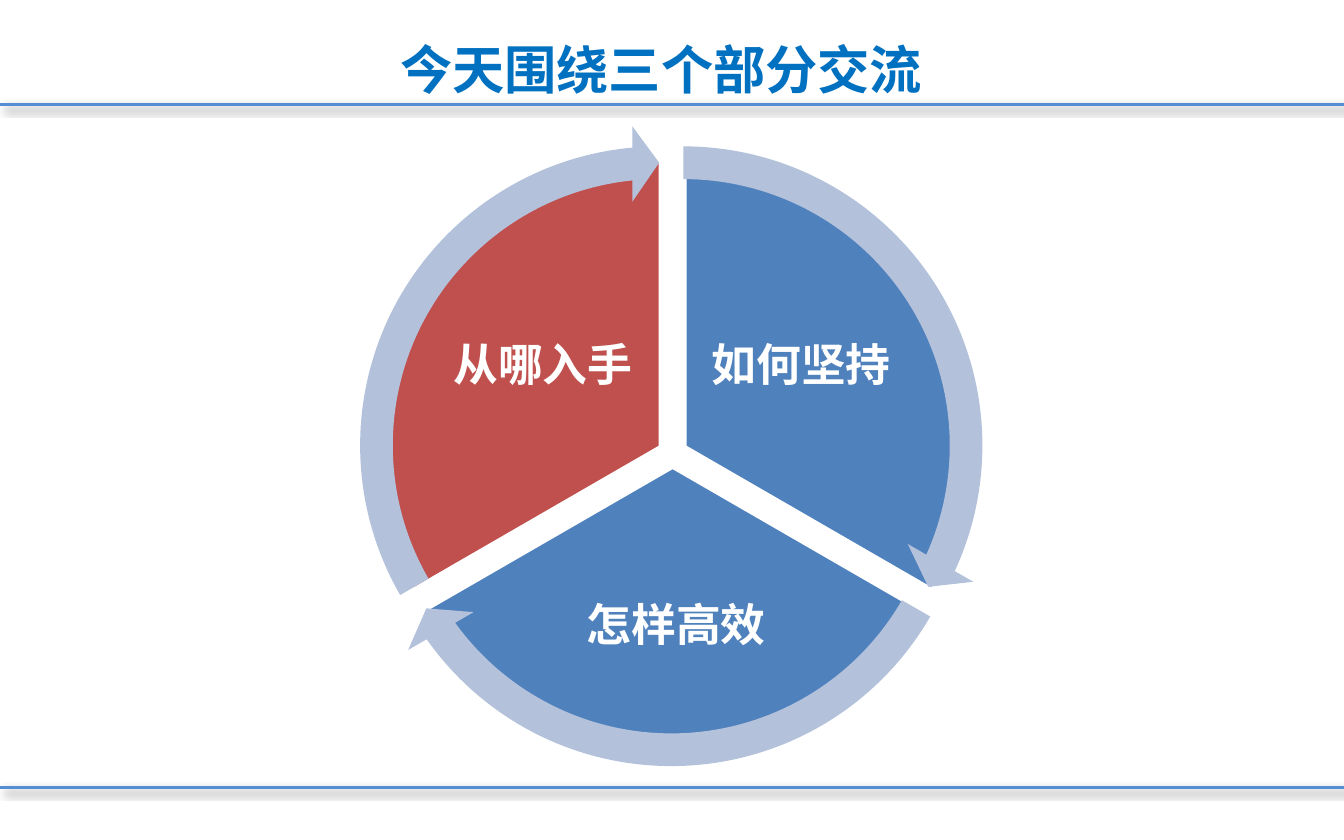
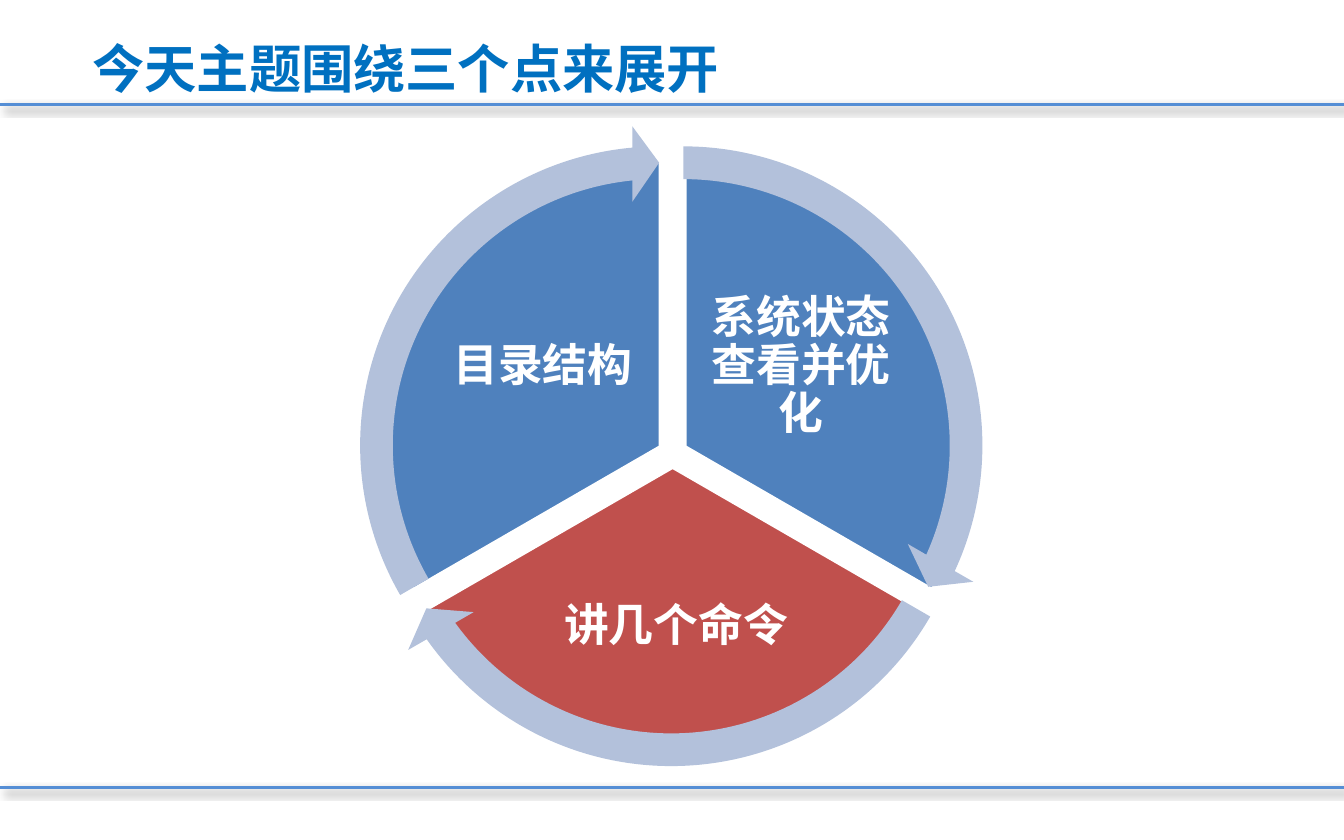
from lxml import etree
from pptx import Presentation
from pptx.dml.color import RGBColor
from pptx.enum.shapes import MSO_CONNECTOR, MSO_SHAPE
from pptx.enum.text import MSO_ANCHOR, MSO_AUTO_SIZE, PP_ALIGN
from pptx.oxml import parse_xml
from pptx.oxml.ns import nsdecls, qn
from pptx.util import Inches, Pt

PIE = MSO_SHAPE.PIE
CIRCULAR_ARROW = MSO_SHAPE.CIRCULAR_ARROW
STRAIGHT = MSO_CONNECTOR.STRAIGHT
LEFT, CENTER = PP_ALIGN.LEFT, PP_ALIGN.CENTER
TOP, MIDDLE = MSO_ANCHOR.TOP, MSO_ANCHOR.MIDDLE
FIT_SHAPE, NO_FIT = MSO_AUTO_SIZE.SHAPE_TO_FIT_TEXT, MSO_AUTO_SIZE.NONE

FONT = "Noto Sans CJK SC"
COLORS = {
    "title": "0070C0",
    "rule": "558ED5",
    "sector": "4F81BD",
    "highlight": "C0504D",
    "arrow": "B3C1DB",
    "white": "FFFFFF",
}

# The slide is a grid of 100 columns with square cells
COLUMNS = 100
RULE_ROWS = (7.8, 58.6)

# Cycle: three sectors clockwise from the top, each shifted slightly left
SECTOR_SIZE, ARROW_SIZE = 42.5, 47.7
SECTOR_LEFT, ARROW_LEFT, SHIFT = 29.7, 27, 0.9
SECTOR_TOPS, ARROW_TOPS = (12, 13.5, 12), (9.3, 10.9, 9.3)
ANGLES = (162, 18, 90, 162)  # sector borders, in units of 100000/60000 degree
ARROW_BAND, ARROW_TIP, ARROW_HEAD = 0.051, 3.275, 0.059
LABEL_BOXES = ((52, 21, 15.2, 12.6), (38.9, 41.1, 22.8, 11.1), (32.8, 21, 15.2, 12.6))


def rgb(name):
    return RGBColor.from_string(COLORS[name])


def write_text(shape, text, *, size, color, align=LEFT, anchor=TOP, wrap=True,
               fit=NO_FIT, inset=None, line_spacing=None, space_after=None):
    frame = shape.text_frame
    frame.word_wrap = wrap
    frame.auto_size = fit
    frame.vertical_anchor = anchor
    if inset is not None:
        frame.margin_left = frame.margin_right = Inches(inset)
        frame.margin_top = frame.margin_bottom = Inches(inset)
    paragraph = frame.paragraphs[0]
    paragraph.alignment = align
    if line_spacing:
        paragraph.line_spacing = line_spacing
    if space_after:
        paragraph.space_after = Pt(space_after)
    run = paragraph.add_run()
    run.text = text
    run.font.size = Pt(size)
    run.font.bold = True
    run.font.name = FONT
    run.font.color.rgb = rgb(color)
    # East Asian typeface
    etree.SubElement(run.font._element, qn("a:ea"), typeface=FONT)


class Deck:
    def __init__(self):
        self.presentation = Presentation()
        self.presentation.slide_width = Inches(10)
        self.presentation.slide_height = Inches(6.25)
        self.cell = self.presentation.slide_width / COLUMNS
        self.slide = None

    def grid(self, *lengths):
        return [round(length * self.cell) for length in lengths]

    def new_slide(self):
        self.slide = self.presentation.slides.add_slide(self.presentation.slide_layouts[6])
        for row in RULE_ROWS:
            self.rule(row)

    def rule(self, row):
        line = self.slide.shapes.add_connector(STRAIGHT, *self.grid(0, row, COLUMNS, row))
        line.line.color.rgb = rgb("rule")
        line.line.width = Pt(1.5)
        line._element.spPr.append(parse_xml(
            f'<a:effectLst {nsdecls("a")}>'
            f'<a:outerShdw blurRad="{Pt(4)}" dist="{Pt(3)}" dir="2700000" algn="tl" rotWithShape="0">'
            '<a:srgbClr val="000000"><a:alpha val="40000"/></a:srgbClr>'
            '</a:outerShdw></a:effectLst>'))

    def text(self, text, box, **style):
        write_text(self.slide.shapes.add_textbox(*self.grid(*box)), text, **style)

    def title(self, text, box, wrap):
        self.text(text, box, size=28, color="title", wrap=wrap, fit=FIT_SHAPE)

    def label(self, text, box):
        self.text(text, box, size=24, color="white", align=CENTER, anchor=MIDDLE,
                  inset=0.03, line_spacing=0.9, space_after=8.4)

    def shape(self, kind, left, top, size, color, adjustments, outline=None):
        shape = self.slide.shapes.add_shape(kind, *self.grid(left, top, size, size))
        shape.shadow.inherit = False
        shape.fill.solid()
        shape.fill.fore_color.rgb = rgb(color)
        if outline:
            shape.line.color.rgb = rgb(outline)
            shape.line.width = Pt(2)
        else:
            shape.line.fill.background()
        for index, value in enumerate(adjustments):
            shape.adjustments[index] = value

    def cycle(self, labels, highlighted):
        # Sectors with their labels
        for index, label in enumerate(labels):
            color = "highlight" if index == highlighted else "sector"
            self.shape(PIE, SECTOR_LEFT - index * SHIFT, SECTOR_TOPS[index], SECTOR_SIZE,
                       color, ANGLES[index:index + 2], outline="white")
            self.label(label, LABEL_BOXES[index])
        # Arrows around the sectors
        for index, top in enumerate(ARROW_TOPS):
            start, end = ANGLES[index:index + 2]
            self.shape(CIRCULAR_ARROW, ARROW_LEFT - index * SHIFT, top, ARROW_SIZE, "arrow",
                       (ARROW_BAND, ARROW_TIP, end - ARROW_TIP, start, ARROW_HEAD))


def main():
    deck = Deck()

    # Three parts of the talk
    deck.new_slide()
    deck.title("今天围绕三个部分交流", (28.8, 2.3, 41.3, 5.7), wrap=False)
    deck.cycle(("如何坚持", "怎样高效", "从哪入手"), highlighted=2)

    # Three points of the topic
    deck.new_slide()
    deck.title("今天主题围绕三个点来展开", (5.9, 2.2, 51.2, 6), wrap=True)
    deck.cycle(("系统状态查看并优化", "讲几个命令", "目录结构"), highlighted=1)

    deck.presentation.save("out.pptx")


if __name__ == "__main__":
    main()
